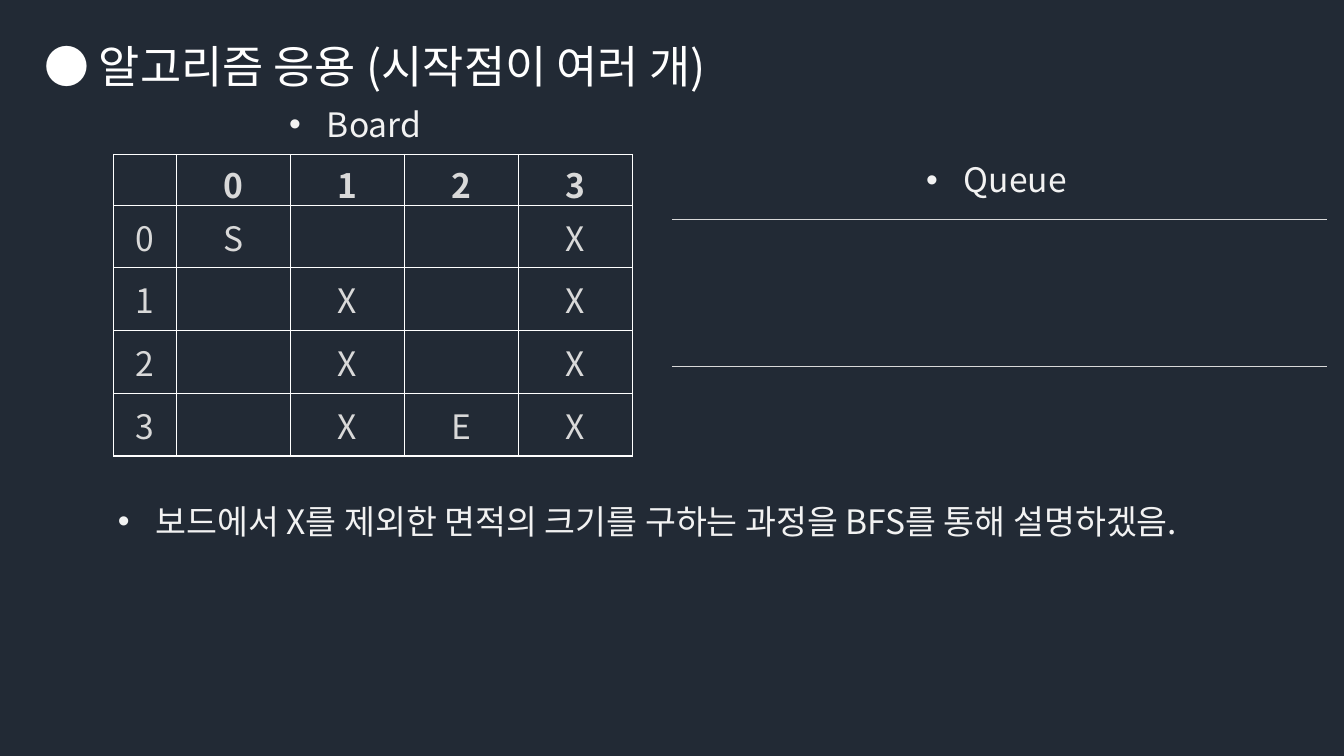
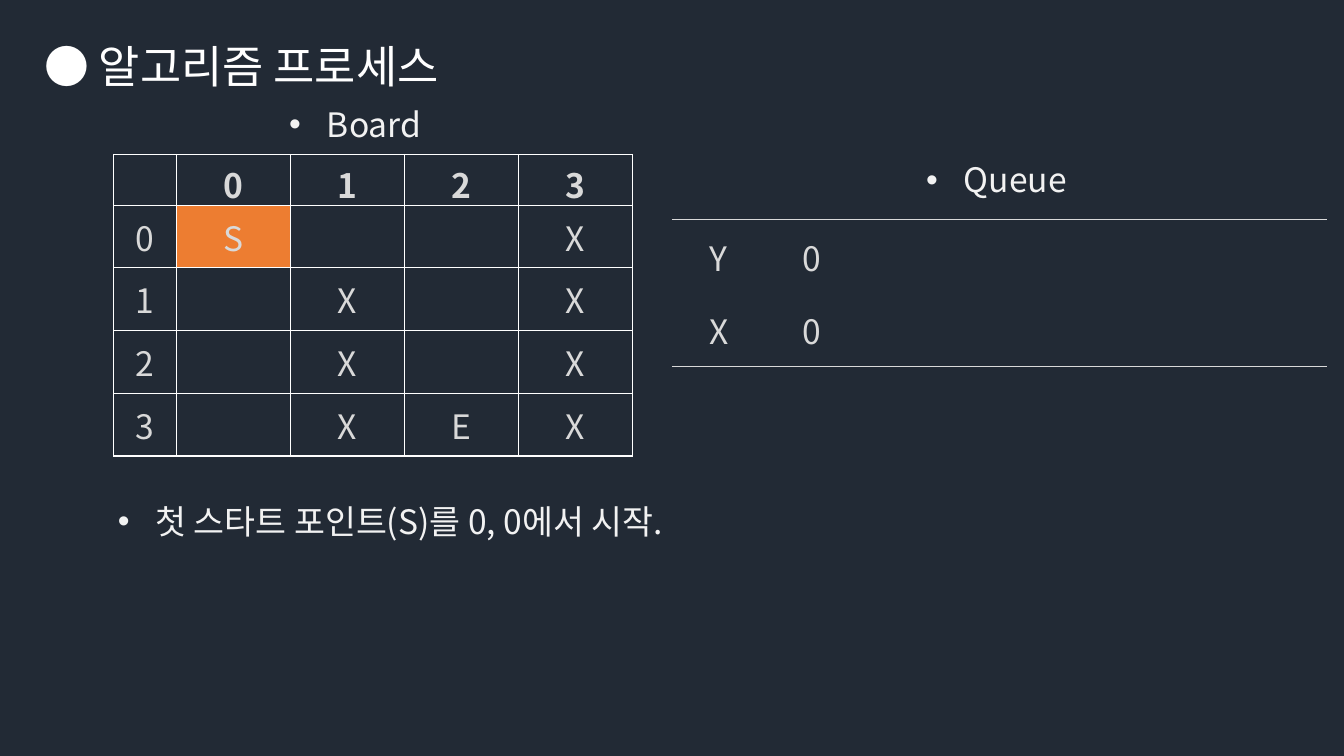
from dataclasses import dataclass

import pptx
import pptx.dml.color
import pptx.enum.text
import pptx.oxml
import pptx.oxml.ns
import pptx.util
from pptx.util import Cm

RGB = pptx.dml.color.RGBColor.from_string
ALIGN = pptx.enum.text.PP_ALIGN
qn = pptx.oxml.ns.qn


@dataclass(frozen=True)
class Theme:
    font: str = "Noto Sans CJK KR"
    background: str = "222A35"
    title: str = "FFFFFF"
    body: str = "F2F2F2"
    cell: str = "D9D9D9"
    grid: str = "FFFFFF"
    rail: str = "D9D9D9"
    start: str = "ED7D31"
    title_size: int = 32
    body_size: int = 24
    line_width: int = 1


THEME = Theme()
BOARD = ["S  X", " X X", " X X", " XEX"]
LABEL_W, LINE_H = 4.72, 1.27


def add_xml(parent, tag, **attrs):
    el = pptx.oxml.parse_xml(f"<a:{tag} {pptx.oxml.ns.nsdecls('a')}/>")
    for name, value in attrs.items():
        el.set(name, str(value))
    parent.append(el)
    return el


def style(p, size, color, bold=False):
    p.font.name = THEME.font
    p.font.size = pptx.util.Pt(size)
    p.font.bold = bold
    p.font.color.rgb = RGB(color)
    # East Asian typeface for the Korean text
    add_xml(p._p.pPr.find(qn("a:defRPr")), "ea", typeface=THEME.font)


def add_text(s, box, text, size, color, bullet=False):
    sp = s.shapes.add_textbox(*map(Cm, box))
    tf = sp.text_frame
    tf.word_wrap = True
    p = tf.paragraphs[0]
    p.text = text
    if bullet:
        pPr = p._p.get_or_add_pPr()
        pPr.set("marL", str(Cm(0.95)))
        pPr.set("indent", str(-Cm(0.95)))
        add_xml(pPr, "buFont", typeface="Arial")
        add_xml(pPr, "buChar", char="•")
    style(p, size, color)


def add_bullet(s, box, text):
    add_text(s, box, text, THEME.body_size, THEME.body, bullet=True)


def set_borders(cell, color, sides):
    """Draw the named sides (L, R, T, B) and clear the others."""
    tcPr = cell._tc.get_or_add_tcPr()
    for side in "LRTB":
        ln = add_xml(tcPr, f"ln{side}", w=pptx.util.Pt(THEME.line_width))
        if side in sides:
            add_xml(add_xml(ln, "solidFill"), "srgbClr", val=color)
        else:
            add_xml(ln, "noFill")


def fill_cell(cell, text, color=None, bold=False):
    if color:
        cell.fill.solid()
        cell.fill.fore_color.rgb = RGB(color)
    else:
        cell.fill.background()
    cell.vertical_anchor = pptx.enum.text.MSO_ANCHOR.MIDDLE
    p = cell.text_frame.paragraphs[0]
    p.text = text
    p.alignment = ALIGN.CENTER
    style(p, THEME.body_size, THEME.cell, bold)


def add_grid(s, x, y, widths, heights):
    frame = s.shapes.add_table(len(heights), len(widths), Cm(x), Cm(y),
                               Cm(sum(widths)), Cm(sum(heights)))
    table = frame.table
    table.first_row = table.horz_banding = False
    for col, width in zip(table.columns, widths):
        col.width = Cm(width)
    for row, height in zip(table.rows, heights):
        row.height = Cm(height)
    return table


def add_board(s, x, y, visited):
    """Board label above a grid with numbered rows and columns."""
    size = len(BOARD)
    widths = [1.58] + [2.87] * size
    heights = [1.28] + [1.58] * size
    label_x = x + (sum(widths) - LABEL_W) / 2
    add_bullet(s, (label_x, y, LABEL_W, LINE_H), "Board")
    table = add_grid(s, x, y + 1.4, widths, heights)
    rows = [["", *map(str, range(size))]]
    rows += [[str(i), *line] for i, line in enumerate(BOARD)]
    for i, row in enumerate(rows):
        for j, text in enumerate(row):
            cell = table.cell(i, j)
            set_borders(cell, THEME.grid, "LRTB")
            color = THEME.start if (i - 1, j - 1) in visited else None
            fill_cell(cell, text.strip(), color, bold=i == 0)


def add_queue(s, x, y, points):
    """Queue label above two rails holding Y and X of each point."""
    slots = 7
    add_bullet(s, (x + 6.16, y, LABEL_W, LINE_H), "Queue")
    table = add_grid(s, x, y + 1.65, [2.36] * slots, [1.85] * 2)
    for i, (axis, rail) in enumerate(zip("YX", "TB")):
        texts = [axis] + [str(point[i]) for point in points] if points else []
        texts += [""] * (slots - len(texts))
        for j, text in enumerate(texts):
            cell = table.cell(i, j)
            set_borders(cell, THEME.rail, rail)
            fill_cell(cell, text)


def add_step(prs, title, note, points=()):
    """One step of the search: title, board, queue and explanation."""
    s = prs.slides.add_slide(prs.slide_layouts[6])
    s.background.fill.solid()
    s.background.fill.fore_color.rgb = RGB(THEME.background)
    add_text(s, (0.86, 0.86, 22.2, 1.63), title,
             THEME.title_size, THEME.title)
    add_board(s, 2.87, 2.49, points)
    add_queue(s, 16.93, 3.89, points)
    add_bullet(s, (2.72, 12.5, 28.22, LINE_H), note)


def main():
    prs = pptx.Presentation()
    prs.slide_width, prs.slide_height = Cm(33.87), Cm(19.05)
    add_step(prs, "● 알고리즘 응용 (시작점이 여러 개)",
             "보드에서 X를 제외한 면적의 크기를 구하는 과정을 BFS를 통해 설명하겠음.")
    add_step(prs, "● 알고리즘 프로세스",
             "첫 스타트 포인트(S)를 0, 0에서 시작.", points=[(0, 0)])
    prs.save("out.pptx")


if __name__ == "__main__":
    main()
